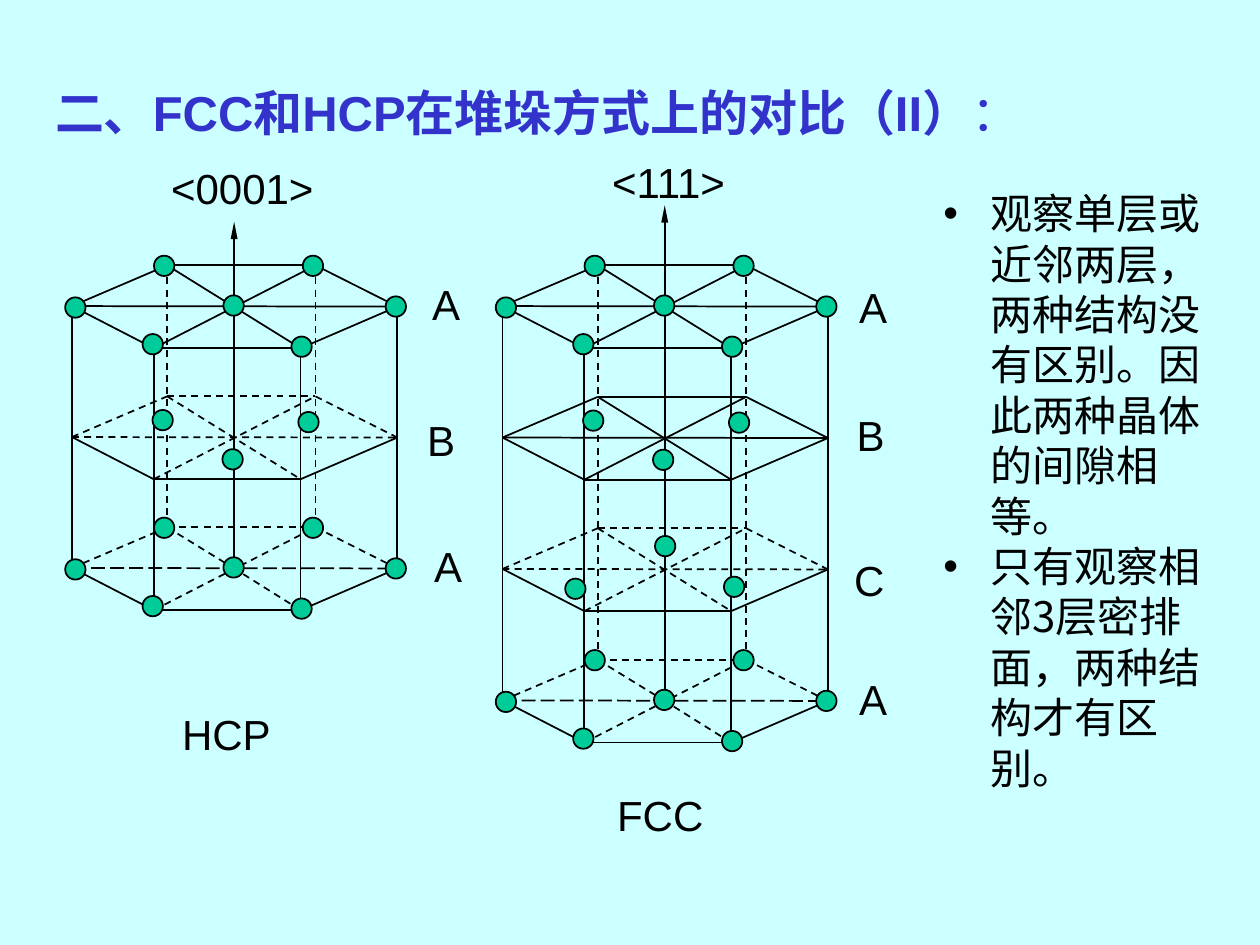
from lxml import etree
from pptx import Presentation
from pptx.dml.color import RGBColor
from pptx.enum.dml import MSO_LINE
from pptx.enum.shapes import MSO_CONNECTOR, MSO_SHAPE
from pptx.enum.text import MSO_ANCHOR
from pptx.oxml.ns import qn
from pptx.util import Cm, Pt

STRAIGHT, OVAL = MSO_CONNECTOR.STRAIGHT, MSO_SHAPE.OVAL
DASH, LONG_DASH = MSO_LINE.DASH, MSO_LINE.LONG_DASH
TOP, MIDDLE = MSO_ANCHOR.TOP, MSO_ANCHOR.MIDDLE
LATIN, HAN = "Arial", "Noto Sans CJK SC"
BLACK, BLUE, GREEN, PALE = "000000", "3333CC", "00CC99", "CCFFFF"
ATOM = 0.41

# Corners of one close-packed layer, in cm from the corner of its box
HEXAGON = {"W": (0, 0.82), "NW": (1.92, 0), "NE": (4.91, 0), "E": (6.56, 0.83),
           "SE": (4.61, 1.67), "SW": (1.65, 1.67), "C": (3.27, 0.83)}
FRONT_EDGES = [("W", "SW"), ("SW", "SE"), ("SE", "E")]
BACK_EDGES = [("W", "NW"), ("NW", "NE"), ("NE", "E"), ("SW", "NE")]
ATOMS = {
    "A": [(0.07, 0.85), (3.26, 0.81), (1.86, 0.01), (1.63, 1.59),
          (4.86, 0.01), (6.53, 0.83), (4.63, 1.64)],
    "B": [(1.83, 0.48), (4.77, 0.52), (3.24, 1.27)],
    "C": [(1.47, 1.22), (4.67, 1.18), (3.28, 0.36)],
}


def color(value):
    return RGBColor.from_string(value)


def add_line(page, start, end, dash=None, arrow=False):
    line = page.shapes.add_connector(STRAIGHT, *(Cm(value) for value in (*start, *end)))
    line.line.color.rgb = color(BLACK)
    line.line.width = Pt(1)
    if dash:
        line.line.dash_style = dash
    if arrow:
        etree.SubElement(line.line._get_or_add_ln(), qn("a:tailEnd"),
                         type="triangle", w="sm", len="lg")
    etree.SubElement(line._element.spPr, qn("a:effectLst"))


def add_atom(page, x, y):
    atom = page.shapes.add_shape(OVAL, Cm(x - ATOM / 2), Cm(y - ATOM / 2), Cm(ATOM), Cm(ATOM))
    atom.shadow.inherit = False
    atom.fill.solid()
    atom.fill.fore_color.rgb = color(GREEN)
    atom.line.color.rgb = color(BLACK)
    atom.line.width = Pt(1)


def add_text(page, paragraphs, left, top, width, height, size=24, ink=BLACK, font=LATIN,
             wrap=True, anchor=TOP, spacing=None, indent=0, bullet=None):
    """Each paragraph is a list of (text, bold) spans."""
    box = page.shapes.add_textbox(Cm(left), Cm(top), Cm(width), Cm(height))
    frame = box.text_frame
    frame.word_wrap = wrap
    frame.vertical_anchor = anchor
    for number, spans in enumerate(paragraphs):
        para = frame.add_paragraph() if number else frame.paragraphs[0]
        if spacing:
            para.line_spacing = spacing
        properties = para._p.get_or_add_pPr()
        properties.set("hangingPunct", "0")
        if indent:
            properties.set("marL", str(Cm(indent)))
            properties.set("indent", str(-Cm(indent)))
        if bullet:
            etree.SubElement(properties, qn("a:buFont"), typeface=LATIN)
            etree.SubElement(properties, qn("a:buChar"), char=bullet)
        for text, bold in spans:
            span = para.add_run()
            span.text = text
            span.font.size = Pt(size)
            span.font.bold = bold
            span.font.name = font
            span.font.color.rgb = color(ink)
            etree.SubElement(span._r.get_or_add_rPr(), qn("a:ea"), typeface=HAN)


def add_layer(page, left, top, back_dash, is_base):
    """The base has its falling diagonal in two halves and a long-dashed middle."""
    def edge(first, second, dash=None):
        ends = [(left + x, top + y) for x, y in (HEXAGON[first], HEXAGON[second])]
        add_line(page, *ends, dash=dash)

    diagonal = [("NW", "C"), ("SE", "C")] if is_base else [("NW", "SE")]
    for ends in FRONT_EDGES:
        edge(*ends)
    for ends in BACK_EDGES + diagonal:
        edge(*ends, dash=back_dash)
    edge("W", "E", dash=LONG_DASH if is_base else back_dash)


def add_crystal(page, left, top, gap, layers, solid_layers, axis_rise, captions):
    """Layers are (letter, label x, label y); captions are (text, x, y, width)."""
    last = len(layers) - 1
    depth = gap * last
    for number in range(len(layers)):
        back = None if number < solid_layers else DASH
        add_layer(page, left, top + number * gap, back, number == last)
    for corner in ("W", "SW", "SE", "E", "NW", "NE"):
        x, y = HEXAGON[corner]
        add_line(page, (left + x, top + y), (left + x, top + y + depth),
                 dash=DASH if corner in ("NW", "NE") else None)
    x, y = HEXAGON["C"]
    add_line(page, (left + x, top + y + depth), (left + x, top - axis_rise), arrow=True)

    for number, (letter, label_x, label_y) in enumerate(layers):
        layer_top = top + number * gap
        for x, y in ATOMS[letter]:
            add_atom(page, left + x, layer_top + y)
        add_text(page, [[(letter, False)]], left + label_x, layer_top + label_y, 1.7, 1.27)
    for text, x, y, width in captions:
        add_text(page, [[(text, False)]], left + x, top + y, width, 1.28, wrap=False)


def add_title(page, left, top, width, height):
    spans = [("二、FCC和HCP在堆垛方式上的对比（II）", True), ("：", False)]
    add_text(page, [spans], left, top, width, height, size=28, ink=BLUE,
             anchor=MIDDLE, spacing=1.4, indent=0.95)


def add_remarks(page, left, top, width, height):
    remarks = ["观察单层或近邻两层，两种结构没有区别。因此两种晶体的间隙相等。",
               "只有观察相邻3层密排面，两种结构才有区别。"]
    add_text(page, [[(remark, False)] for remark in remarks], left, top, width, height,
             font=HAN, spacing=Pt(28.8), indent=0.95, bullet="•")


def main():
    deck = Presentation()
    deck.slide_width, deck.slide_height = Cm(25.4), Cm(19.05)
    page = deck.slides.add_slide(deck.slide_layouts[6])
    page.background.fill.solid()
    page.background.fill.fore_color.rgb = color(PALE)

    add_title(page, 0.86, 0.85, 22.02, 2.34)
    add_crystal(page, 1.45, 5.35, gap=2.64, solid_layers=1, axis_rise=0.88,
                layers=[("A", 7.01, 0.13), ("B", 6.91, 0.24), ("A", 7.05, 0.14)],
                captions=[("<0001>", 1.75, -2.2, 3.43), ("HCP", 1.97, 8.8, 2.31)])
    add_crystal(page, 10.13, 5.35, gap=2.65, solid_layers=2, axis_rise=1.21,
                layers=[("A", 6.94, 0.2), ("B", 6.89, 0.13),
                        ("C", 6.84, 0.4), ("A", 6.94, 0.16)],
                captions=[("<111>", 1.96, -2.32, 2.82), ("FCC", 2.06, 10.45, 2.97)])
    add_remarks(page, 18.77, 3.66, 5.74, 10.52)
    deck.save("out.pptx")


if __name__ == "__main__":
    main()
